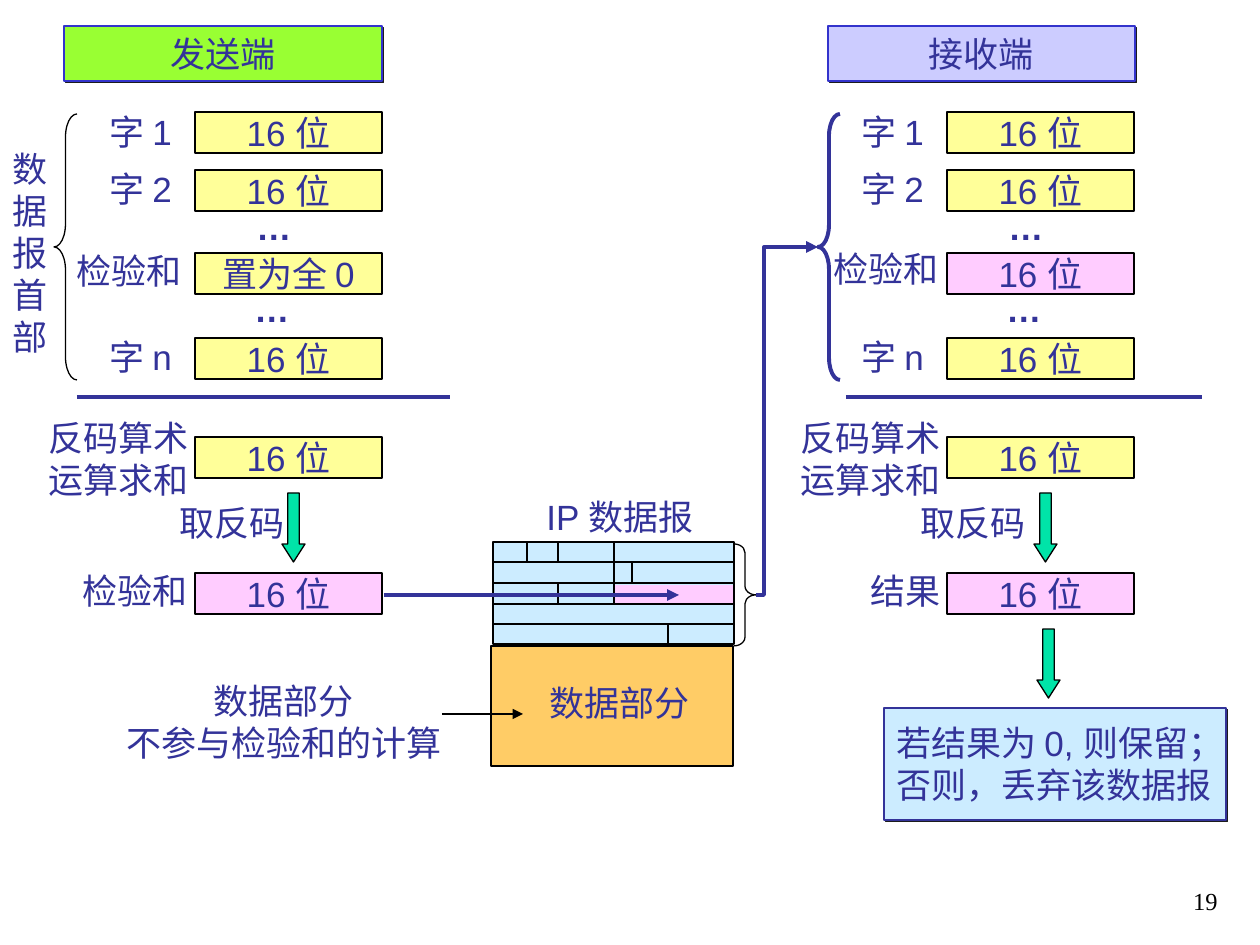
from lxml import etree
from pptx import Presentation
from pptx.dml.color import RGBColor
from pptx.enum.shapes import MSO_CONNECTOR, MSO_SHAPE
from pptx.enum.text import MSO_ANCHOR, MSO_AUTO_SIZE, PP_ALIGN
from pptx.oxml import parse_xml
from pptx.oxml.ns import qn
from pptx.util import Pt

RECT, DOWN = MSO_SHAPE.RECTANGLE, MSO_SHAPE.DOWN_ARROW
LEFT_BRACE, RIGHT_BRACE = MSO_SHAPE.LEFT_BRACE, MSO_SHAPE.RIGHT_BRACE
STRAIGHT = MSO_CONNECTOR.STRAIGHT
LEFT, CENTER, RIGHT = PP_ALIGN.LEFT, PP_ALIGN.CENTER, PP_ALIGN.RIGHT
TOP, MIDDLE, BOTTOM = MSO_ANCHOR.TOP, MSO_ANCHOR.MIDDLE, MSO_ANCHOR.BOTTOM
FIT, FIXED = MSO_AUTO_SIZE.SHAPE_TO_FIT_TEXT, MSO_AUTO_SIZE.NONE

PX = 914400 / 126
COLORS = {
    "ink": "333399", "black": "000000", "border": "3333CC", "green": "99FF33",
    "lilac": "CCCCFF", "yellow": "FFFF99", "pink": "FFCCFF", "sky": "CCECFF",
    "orange": "FFCC66", "mint": "00E4A8",
}
RGB = {name: RGBColor.from_string(value) for name, value in COLORS.items()}
BODY = {"name": "Arial", "size": Pt(20)}
PAGE = {"name": "Times New Roman", "size": Pt(14)}
SHADOW = (
    '<a:outerShdw xmlns:a="http://schemas.openxmlformats.org/drawingml/2006/main" '
    'dist="17780" dir="2700000" algn="ctr" rotWithShape="0">'
    '<a:srgbClr val="1C1C1C"/></a:outerShdw>'
)

prs = Presentation()
prs.slide_width, prs.slide_height = round(1260 * PX), round(945 * PX)
shapes = prs.slides.add_slide(prs.slide_layouts[6]).shapes


def write(holder, text, align=LEFT, anchor=TOP, wrap=False, fit=FIT,
          bold=False, style=BODY, color="ink"):
    frame = holder.text_frame
    frame.text = text
    for name, value in {"word_wrap": wrap, "auto_size": fit, "vertical_anchor": anchor}.items():
        setattr(frame, name, value)
    for paragraph in frame.paragraphs:
        paragraph.alignment = align
        for name, value in {**style, "bold": bold}.items():
            setattr(paragraph.font, name, value)
        paragraph.font.color.rgb = RGB[color]


def draw(kind, box, fill=None, line="black", width=0.75, adjust=(), shadow=False):
    shape = shapes.add_shape(kind, *(round(v * PX) for v in box))
    shape.shadow.inherit = False
    for i, value in enumerate(adjust):
        shape.adjustments[i] = value
    if fill:
        shape.fill.solid()
        shape.fill.fore_color.rgb = RGB[fill]
    else:
        shape.fill.background()
    if line:
        shape.line.color.rgb = RGB[line]
        shape.line.width = Pt(width)
    else:
        shape.line.fill.background()
    if shadow:
        shape._element.spPr.find(qn("a:effectLst")).append(parse_xml(SHADOW))
    return shape


draw(RECT, (491, 646, 242, 120), "orange")
draw(RECT, (493, 542, 241, 102), "sky", width=1.5)
draw(RECT, (615, 585, 118, 19), "pink", None)

for title, left, width, fill in (("发送端", 64, 318, "green"), ("接收端", 828, 307, "lilac")):
    header = draw(RECT, (left, 26, width, 55), fill, "border", shadow=True)
    write(header, title, CENTER, wrap=True)

FIELD_TOPS = (112, 170, 253, 338, 437, 573)
SIDES = (
    (0, "置为全 0", "yellow"),
    (752, "16 位", "pink"),
)
for shift, checksum, checksum_fill in SIDES:
    contents = ("16 位", "16 位", checksum, "16 位", "16 位", "16 位")
    fills = ("yellow", "yellow", checksum_fill, "yellow", "yellow", "pink")
    for top, content, fill in zip(FIELD_TOPS, contents, fills):
        field = draw(RECT, (195 + shift, top, 187, 41), fill)
        write(field, content, CENTER, MIDDLE, fit=FIXED)
    draw(DOWN, (282 + shift, 493, 23, 69), "mint", adjust=(0.5, 0.78))
draw(DOWN, (1037, 629, 23, 69), "mint", adjust=(0.5, 0.78))

LABELS = [
    ("检验和", 64, 243, 134, 55, LEFT),
    ("检验和", 821, 241, 134, 55, LEFT),
    ("取反码", 167, 495, 134, 55, LEFT),
    ("取反码", 908, 495, 134, 55, LEFT),
    ("检验和", 70, 563, 134, 55, LEFT),
    ("结果", 858, 563, 99, 55, LEFT),
    ("数\n据\n报\n首\n部", 0, 141, 60, 223, LEFT),
    ("IP 数据报", 534, 489, 185, 55, LEFT),
    ("数据部分", 537, 675, 172, 55, LEFT),
    ("数据部分\n不参与检验和的计算", 109, 673, 350, 97, CENTER),
]
for shift, _, _ in SIDES:
    LABELS += [
        ("字 1", 97 + shift, 104, 96, 55, LEFT),
        ("字 2", 97 + shift, 161, 96, 55, LEFT),
        ("字 n", 97 + shift, 329, 96, 55, LEFT),
        ("反码算术\n运算求和", 36 + shift, 410, 172, 97, LEFT),
        ("…", 244 + shift, 199, 60, 55, LEFT),
        ("…", 242 + shift, 281, 60, 55, LEFT),
    ]
for text, *box, align in LABELS:
    label = shapes.add_textbox(*(round(v * PX) for v in box))
    write(label, text, align, bold=text == "…")

draw(LEFT_BRACE, (54, 114, 23, 266), adjust=(1, 0.5))
draw(LEFT_BRACE, (818, 114, 22, 266), line="ink", width=2.25, adjust=(1, 0.5))
draw(RIGHT_BRACE, (734, 544, 22, 102), adjust=(0.4, 0.5))

verdict = draw(RECT, (884, 708, 342, 112), "sky", "ink", 1, shadow=True)
write(verdict, "若结果为 0, 则保留；\n否则，丢弃该数据报", anchor=MIDDLE, fit=FIXED)

header_rows = [(493, y, 734, y) for y in (562, 583, 604, 624, 644)]
header_splits = [
    (x, top, x, bottom)
    for x, top, bottom in (
        (614, 542, 604), (558, 583, 604), (558, 542, 562),
        (527, 542, 562), (632, 562, 583), (668, 624, 644),
    )
]
LINES = [(ends, "black", 0.75, False) for ends in header_rows + header_splits] + [
    ((77, 397, 450, 397), "ink", 2.25, False),
    ((846, 397, 1202, 397), "ink", 2.25, False),
    ((384, 595, 679, 595), "ink", 2.25, True),
    ((442, 714, 523, 714), "black", 0.75, True),
]
arrows = []
for ends, color, width, pointed in LINES:
    stroke = shapes.add_connector(STRAIGHT, *(round(v * PX) for v in ends))
    stroke.line.color.rgb = RGB[color]
    stroke.line.width = Pt(width)
    etree.SubElement(stroke._element.spPr, qn("a:effectLst"))
    if pointed:
        arrows.append(stroke)

route = shapes.build_freeform(756, 595, scale=PX)
route.add_line_segments([(764, 595), (764, 247), (818, 247)], close=False)
delivery = route.convert_to_shape()
delivery.shadow.inherit = False
delivery.fill.background()
delivery.line.color.rgb = RGB["ink"]
delivery.line.width = Pt(2.25)
for arrow in arrows + [delivery]:
    etree.SubElement(arrow.line._get_or_add_ln(), qn("a:tailEnd"), type="triangle")

page_number = shapes.add_textbox(*(round(v * PX) for v in (968, 859, 262, 63)))
write(page_number, "19", RIGHT, BOTTOM, wrap=True, fit=FIXED, style=PAGE, color="black")

prs.save("out.pptx")
